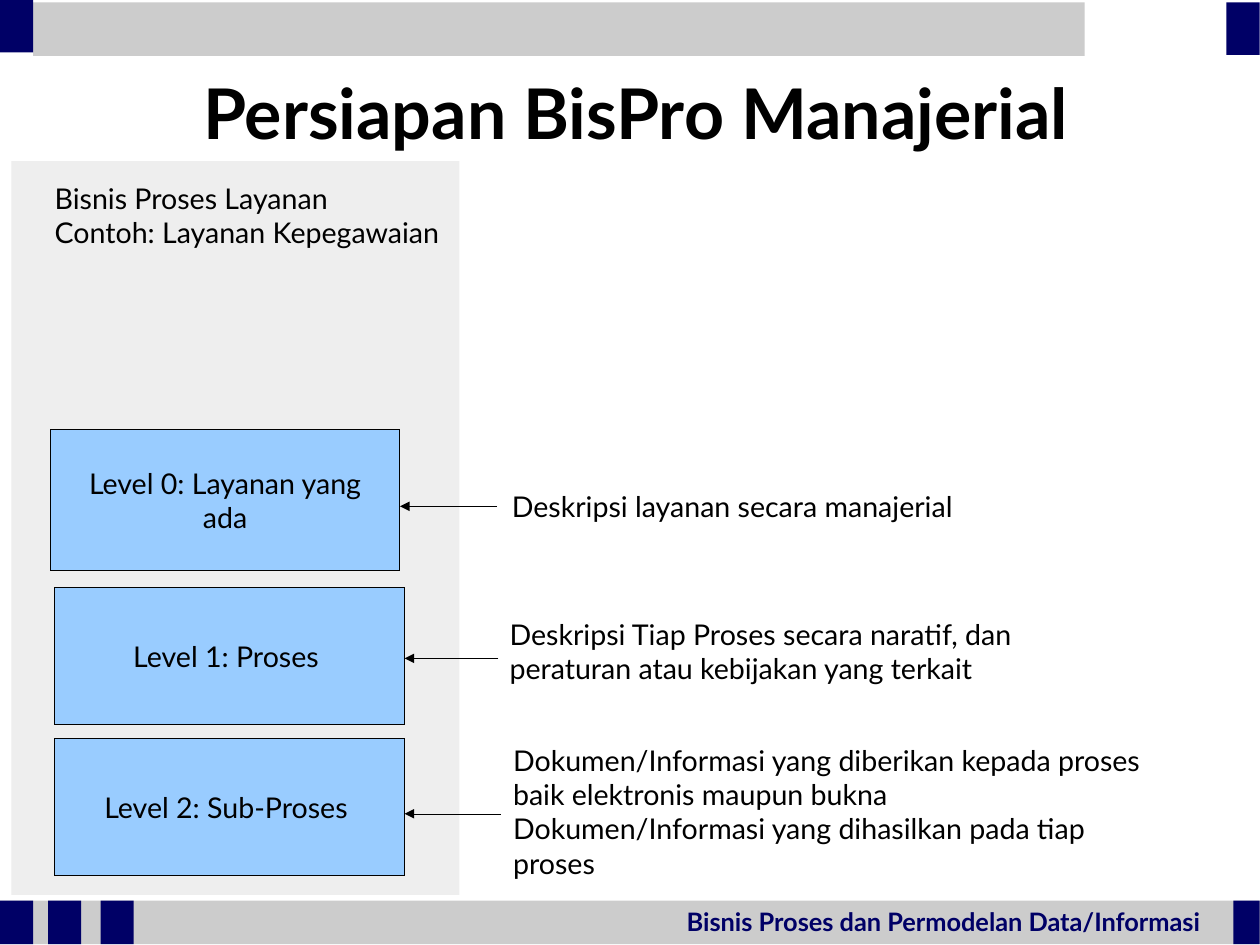
from lxml import etree
from pptx import Presentation
from pptx.dml.color import RGBColor
from pptx.enum.shapes import MSO_CONNECTOR, MSO_SHAPE
from pptx.enum.text import MSO_ANCHOR, PP_ALIGN
from pptx.oxml.ns import qn
from pptx.util import Inches, Pt

RECT, STRAIGHT = MSO_SHAPE.RECTANGLE, MSO_CONNECTOR.STRAIGHT
TOP, MIDDLE = MSO_ANCHOR.TOP, MSO_ANCHOR.MIDDLE
LEFT, CENTER = PP_ALIGN.LEFT, PP_ALIGN.CENTER

# Content
TITLE = ["Persiapan BisPro Manajerial"]
FOOTER = ["Bisnis Proses dan Permodelan Data/Informasi"]
PANEL_HEADING = ["Bisnis Proses Layanan", "Contoh: Layanan Kepegawaian"]
LEVELS = [
    # level lines, level box, arrow start x and y, description lines, description box
    (["Level 0: Layanan yang", "ada"], (0.44, 3.76, 3.06, 1.23), (4.35, 4.43),
     ["Deskripsi layanan secara manajerial"], (4.38, 4.23, 4.14, 0.53)),
    (["Level 1: Proses "], (0.48, 5.14, 3.06, 1.2), (4.36, 5.76),
     ["Deskripsi Tiap Proses secara naratif, dan peraturan atau kebijakan yang terkait"],
     (4.36, 5.35, 5.51, 0.7)),
    (["Level 2: Sub-Proses "], (0.48, 6.46, 3.06, 1.2), (4.38, 7.12),
     ["Dokumen/Informasi yang diberikan kepada proses baik elektronis maupun bukna",
      "Dokumen/Informasi yang dihasilkan pada tiap proses"], (4.39, 6.45, 5.92, 1.3)),
]

# Look
COLORS = {"band": "CCCCCC", "navy": "000066", "panel": "EEEEEE",
          "level": "99CCFF", "ink": "000000"}
CM_PER_INCH = 2.54
WIDTH, HEIGHT = 28 / CM_PER_INCH, 21 / CM_PER_INCH
FOOT_TOP, FOOT_HEIGHT = 7.88, 0.38
BLOCK_WIDTH = 0.29
BODY = {"name": "Lato", "size": Pt(18), "bold": False}
TITLE_FONT = {"name": "Lato", "size": Pt(44), "bold": True}
FOOTER_FONT = {"name": "Lato", "size": Pt(16), "bold": True}

BANDS = [
    ("band", (0, FOOT_TOP, WIDTH, FOOT_HEIGHT)),
    ("navy", (10.79, FOOT_TOP, 0.23, FOOT_HEIGHT)),
    *[("navy", (x, FOOT_TOP, BLOCK_WIDTH, FOOT_HEIGHT)) for x in (0, 0.42, 0.88)],
    ("band", (BLOCK_WIDTH, 0.02, 9.2, 0.47)),
    ("navy", (10.73, 0.02, BLOCK_WIDTH, 0.46)),
    ("navy", (0, 0, BLOCK_WIDTH, 0.46)),
]

prs = Presentation()
prs.slide_width, prs.slide_height = Inches(WIDTH), Inches(HEIGHT)
slide = prs.slides.add_slide(prs.slide_layouts[6])


def rgb(key):
    return RGBColor.from_string(COLORS[key])


def drop_theme_style(shape):
    """Free the shape from theme line widths, so its line is a hairline."""
    shape._element.remove(shape._element.find(qn("p:style")))


def add_rect(box, fill, outlined=False):
    rect = slide.shapes.add_shape(RECT, *map(Inches, box))
    drop_theme_style(rect)
    rect.shadow.inherit = False
    rect.fill.solid()
    rect.fill.fore_color.rgb = rgb(fill)
    if outlined:
        rect.line.color.rgb = rgb("ink")
    else:
        rect.line.fill.background()
    return rect


def write(shape, lines, font=BODY, color="ink", align=LEFT, anchor=TOP,
          margins=(0.1, 0.05), wrap=True):
    frame = shape.text_frame
    side, edge = map(Inches, margins)
    layout = {"word_wrap": wrap, "vertical_anchor": anchor,
              "margin_left": side, "margin_right": side,
              "margin_top": edge, "margin_bottom": edge}
    for key, value in layout.items():
        setattr(frame, key, value)
    for i, line in enumerate(lines):
        paragraph = frame.add_paragraph() if i else frame.paragraphs[0]
        paragraph.alignment = align
        run = paragraph.add_run()
        run.text = line
        for key, value in font.items():
            setattr(run.font, key, value)
        run.font.color.rgb = rgb(color)


def add_text(box, lines, **style):
    write(slide.shapes.add_textbox(*map(Inches, box)), lines, **style)


def add_arrow(start_x, end_x, y):
    arrow = slide.shapes.add_connector(
        STRAIGHT, *map(Inches, (start_x, y, end_x, y)))
    drop_theme_style(arrow)
    arrow.line.color.rgb = rgb("ink")
    etree.SubElement(arrow.line._get_or_add_ln(), qn("a:tailEnd"), type="triangle")
    etree.SubElement(arrow._element.spPr, qn("a:effectLst"))


# Header and footer bands
for fill, box in BANDS:
    add_rect(box, fill)
add_text((5.91, FOOT_TOP, 4.72, 0.36), FOOTER, font=FOOTER_FONT, color="navy")

# Title
add_text((0.52, 0.56, 10.09, 0.84), TITLE, font=TITLE_FONT,
         align=CENTER, anchor=MIDDLE, margins=(0, 0))

# Service panel
add_rect((0.1, 1.41, 3.92, 6.42), "panel")
add_text((0.38, 1.53, 3.68, 1), PANEL_HEADING)

# Levels, each with an arrow from its description
for level, level_box, (start_x, y), description, description_box in LEVELS:
    write(add_rect(level_box, "level", outlined=True), level,
          align=CENTER, anchor=MIDDLE, wrap=False)
    add_arrow(start_x, level_box[0] + level_box[2], y)
    add_text(description_box, description)

prs.save("out.pptx")
